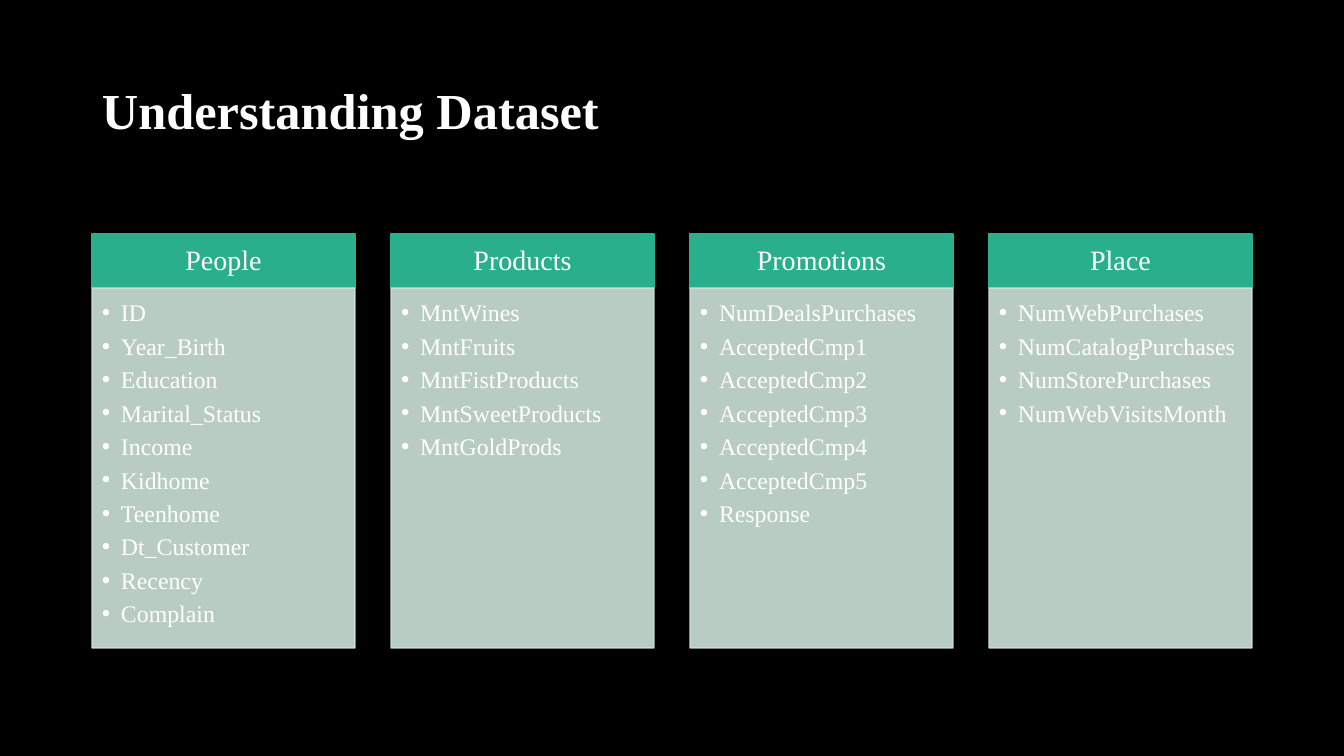
"""Build the dataset overview slide: a title above four cards of column names."""
import pptx
import pptx.dml.color
import pptx.enum.shapes
import pptx.enum.text
import pptx.oxml.ns
import pptx.util
import lxml.etree

PX = 9071.43
FONT = "Times New Roman"
BLACK = pptx.dml.color.RGBColor(0x00, 0x00, 0x00)
WHITE = pptx.dml.color.RGBColor(0xFF, 0xFF, 0xFF)
GREEN = pptx.dml.color.RGBColor(0x29, 0xAF, 0x8C)
MINT = pptx.dml.color.RGBColor(0xCD, 0xE3, 0xDA)
ALIGN = pptx.enum.text.PP_ALIGN
ANCHOR = pptx.enum.text.MSO_ANCHOR
qn = pptx.oxml.ns.qn

LEFT, STEP, WIDE = 92, 299, 263
HEAD_TOP, HEAD_HIGH, LIST_HIGH = 234, 54, 360
INDENT = 19
GROUPS = {
    "People": ["ID", "Year_Birth", "Education", "Marital_Status", "Income",
               "Kidhome", "Teenhome", "Dt_Customer", "Recency", "Complain"],
    "Products": ["MntWines", "MntFruits", "MntFistProducts",
                 "MntSweetProducts", "MntGoldProds"],
    "Promotions": ["NumDealsPurchases", "AcceptedCmp1", "AcceptedCmp2",
                   "AcceptedCmp3", "AcceptedCmp4", "AcceptedCmp5", "Response"],
    "Place": ["NumWebPurchases", "NumCatalogPurchases", "NumStorePurchases",
              "NumWebVisitsMonth"],
}


def px(count):
    return pptx.util.Emu(round(count * PX))


def write(shape, text, size, align, anchor, insets, bold=False):
    frame = shape.text_frame
    frame.text = text
    frame.word_wrap = True
    frame.vertical_anchor = anchor
    (frame.margin_left, frame.margin_top,
     frame.margin_right, frame.margin_bottom) = [px(inset) for inset in insets]
    for para in frame.paragraphs:
        para.alignment = align
        for run in para.runs:
            run.font.name = FONT
            run.font.size = pptx.util.Pt(size)
            run.font.bold = bold
            run.font.color.rgb = WHITE
    return frame.paragraphs


deck = pptx.Presentation()
deck.slide_width, deck.slide_height = px(1344), px(756)
slide = deck.slides.add_slide(deck.slide_layouts[5])
slide.background.fill.solid()
slide.background.fill.fore_color.rgb = BLACK

title = slide.shapes.title
title.left, title.top, title.width, title.height = px(92), px(40), px(1160), px(146)
for para in write(title, "Understanding Dataset", 36, ALIGN.LEFT, ANCHOR.MIDDLE,
                  (10, 5, 10, 5), bold=True):
    para.line_spacing = 0.9

for col, (name, fields) in enumerate(GROUPS.items()):
    cards = []
    for top, high, color in ((HEAD_TOP, HEAD_HIGH, GREEN),
                             (HEAD_TOP + HEAD_HIGH, LIST_HIGH, MINT)):
        card = slide.shapes.add_shape(
            pptx.enum.shapes.MSO_SHAPE.RECTANGLE,
            px(LEFT + col * STEP), px(top), px(WIDE), px(high))
        card.shadow.inherit = False
        card.fill.solid()
        card.fill.fore_color.rgb = color
        card.line.color.rgb = color
        card.line.width = pptx.util.Pt(1)
        cards.append(card)
    head, body = cards

    for para in write(head, name, 20, ALIGN.CENTER, ANCHOR.MIDDLE, (16, 9, 16, 9)):
        para.line_spacing = 0.9

    for tint in body._element.spPr.iter(qn("a:srgbClr")):
        lxml.etree.SubElement(tint, qn("a:alpha"), val="90000")
    for para in write(body, "\n".join(fields), 17, ALIGN.LEFT, ANCHOR.TOP,
                      (10, 10, 13, 15)):
        para.level = 1
        para.space_after = pptx.util.Pt(3.5)
        props = para._p.get_or_add_pPr()
        props.set("marL", str(px(INDENT)))
        props.set("indent", str(px(-INDENT)))
        lxml.etree.SubElement(props, qn("a:buFont"), typeface="Arial")
        lxml.etree.SubElement(props, qn("a:buChar"), char="•")

deck.save("out.pptx")
